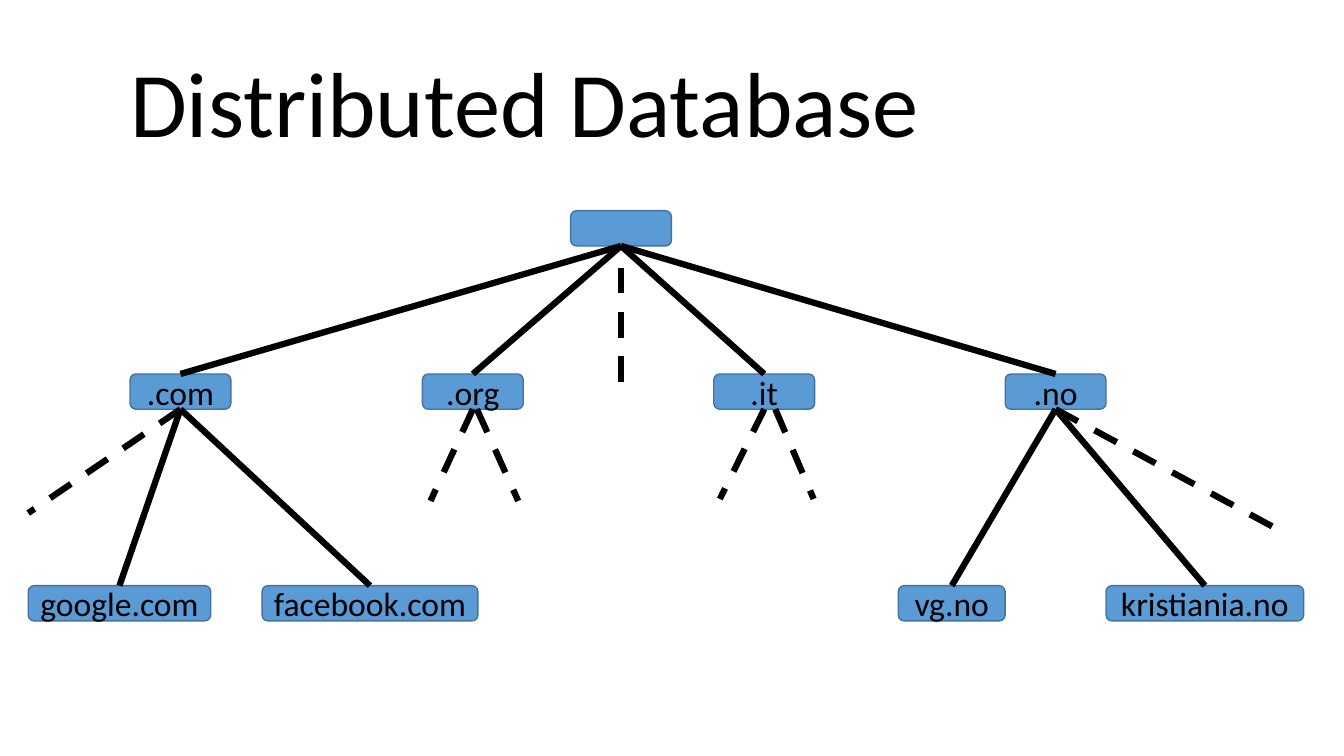
from pptx import Presentation
from pptx.dml.color import RGBColor
from pptx.enum.dml import MSO_LINE
from pptx.enum.shapes import MSO_CONNECTOR, MSO_SHAPE
from pptx.enum.text import MSO_ANCHOR, MSO_AUTO_SIZE, PP_ALIGN
from pptx.oxml.ns import qn
from pptx.util import Inches, Pt

BLACK = RGBColor(0x00, 0x00, 0x00)
NODE_BLUE = RGBColor(0x5B, 0x9B, 0xD5)
NODE_BORDER = RGBColor(0x43, 0x73, 0x9E)
NODE_HEIGHT = 0.35
TOP_SITE, BOTTOM_SITE = 0, 2

presentation = Presentation()
presentation.slide_width = Inches(13.33)
presentation.slide_height = Inches(7.5)
slide = presentation.slides.add_slide(presentation.slide_layouts[5])


def add_node(text, left, top, width):
    shape = slide.shapes.add_shape(
        MSO_SHAPE.ROUNDED_RECTANGLE,
        Inches(left), Inches(top), Inches(width), Inches(NODE_HEIGHT))
    shape.shadow.inherit = False
    shape.fill.solid()
    shape.fill.fore_color.rgb = NODE_BLUE
    shape.line.color.rgb = NODE_BORDER
    shape.line.width = Pt(1)
    if text:
        shape.text_frame.text = text
        shape.text_frame.vertical_anchor = MSO_ANCHOR.MIDDLE
        paragraph = shape.text_frame.paragraphs[0]
        paragraph.alignment = PP_ALIGN.CENTER
        paragraph.font.name = "Calibri"
        paragraph.font.size = Pt(24)
        paragraph.font.color.rgb = BLACK
    return shape


def add_branch(x1, y1, x2, y2):
    connector = slide.shapes.add_connector(
        MSO_CONNECTOR.STRAIGHT, Inches(x1), Inches(y1), Inches(x2), Inches(y2))
    connector.line.color.rgb = BLACK
    connector.line.width = Pt(4.5)
    properties = connector._element.spPr
    properties.append(properties.makeelement(qn("a:effectLst"), {}))
    return connector


# Title
title = slide.shapes.title
title.left, title.top = Inches(1.19), Inches(0.34)
title.width, title.height = Inches(11.5), Inches(1.45)
title.text_frame.text = "Distributed Database"
title.text_frame.auto_size = MSO_AUTO_SIZE.NONE
title.text_frame.vertical_anchor = MSO_ANCHOR.MIDDLE
paragraph = title.text_frame.paragraphs[0]
paragraph.alignment = PP_ALIGN.LEFT
paragraph.line_spacing = 0.9
paragraph.font.name = "Calibri"
paragraph.font.size = Pt(66)
paragraph.font.color.rgb = BLACK

# Nodes: the unnamed root, top-level domains, then hosts
nodes = {"root": add_node("", 5.66, 2.09, 1)}
for domain, left in [(".com", 1.29), (".org", 4.19), (".it", 7.08), (".no", 9.97)]:
    nodes[domain] = add_node(domain, left, 3.71, 1)
for host, left, width in [("google.com", 0.28, 1.81), ("facebook.com", 2.6, 2.14),
                          ("vg.no", 8.91, 1.06), ("kristiania.no", 10.97, 1.96)]:
    nodes[host] = add_node(host, left, 5.81, width)

# Solid branches from each parent to its children
children = {
    "root": [".com", ".org", ".it", ".no"],
    ".com": ["google.com", "facebook.com"],
    ".no": ["vg.no", "kristiania.no"],
}
for parent, names in children.items():
    for name in names:
        branch = add_branch(0, 0, 1, 1)
        branch.begin_connect(nodes[parent], BOTTOM_SITE)
        branch.end_connect(nodes[name], TOP_SITE)

# Dashed branches to further domains not drawn
for ends in [
    (6.16, 2.66, 6.16, 3.92),
    (1.79, 4.06, 0.28, 5.09),
    (4.69, 4.06, 4.27, 4.97),
    (4.73, 4.06, 5.14, 4.97),
    (7.58, 4.06, 7.14, 4.95),
    (7.69, 4.06, 8.07, 4.95),
    (10.47, 4.06, 12.78, 5.31),
]:
    add_branch(*ends).line.dash_style = MSO_LINE.DASH

presentation.save("out.pptx")
